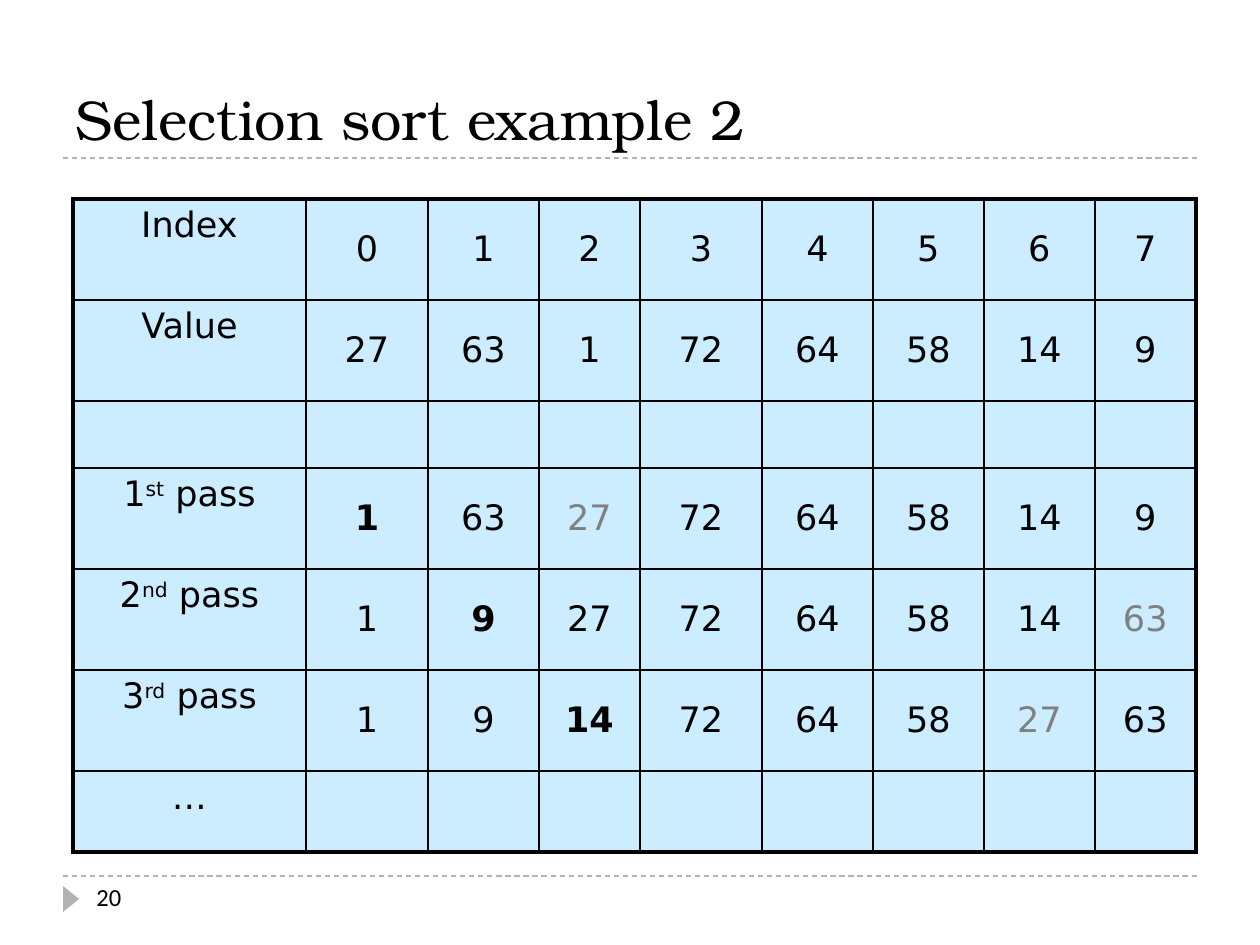
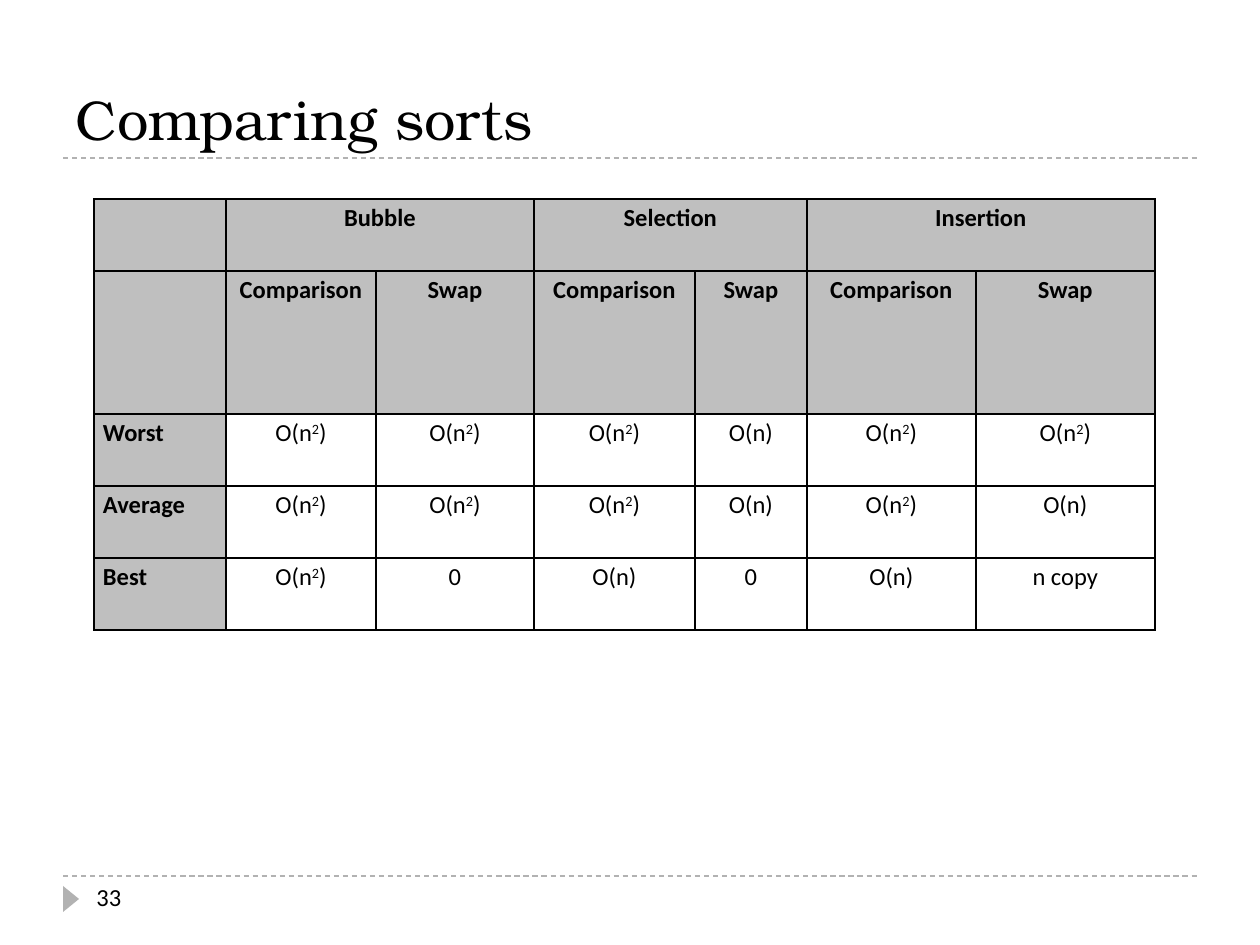
from lxml import etree
from pptx import Presentation
from pptx.dml.color import RGBColor
from pptx.enum.dml import MSO_LINE
from pptx.enum.shapes import MSO_CONNECTOR, MSO_SHAPE
from pptx.enum.text import MSO_ANCHOR as ANCHOR, MSO_AUTO_SIZE, PP_ALIGN as ALIGN
from pptx.oxml.ns import qn
from pptx.util import Emu, Pt

PX_PER_INCH = 126
BLACK = RGBColor(0, 0, 0)
GREY = RGBColor(0x80, 0x80, 0x80)
RULE_GREY = RGBColor(0xB2, 0xB2, 0xB2)
HEADER_GREY = RGBColor(0xBF, 0xBF, 0xBF)
PALE_BLUE = RGBColor(0xCC, 0xEC, 0xFF)
TITLE_FONT, BODY_FONT, NUMBER_FONT = "TeX Gyre Bonum", "Calibri", "DejaVu Sans"
THIN, THICK = 1, 2.25

# Cell marks: ^...^ is superscript, a leading * is bold, a leading ~ is grey.
SORT_ROWS = [
    ["Index", "0", "1", "2", "3", "4", "5", "6", "7"],
    ["Value", "27", "63", "1", "72", "64", "58", "14", "9"],
    [""] * 9,
    ["1^st^ pass", "*1", "63", "~27", "72", "64", "58", "14", "9"],
    ["2^nd^ pass", "1", "*9", "27", "72", "64", "58", "14", "~63"],
    ["3^rd^ pass", "1", "9", "*14", "72", "64", "58", "~27", "63"],
    ["…"] + [""] * 8,
]
SORT_COLS = [233, 122, 111, 101, 122, 111, 111, 111, 101]
SORT_HEIGHTS = [101, 101, 67, 101, 101, 101, 81]

SQUARE = "O(n^2^)"
COST_ROWS = [
    ["", "*Bubble", "", "*Selection", "", "*Insertion", ""],
    [""] + ["*Comparison", "*Swap"] * 3,
    ["*Worst", SQUARE, SQUARE, SQUARE, "O(n)", SQUARE, SQUARE],
    ["*Average", SQUARE, SQUARE, SQUARE, "O(n)", SQUARE, "O(n)"],
    ["*Best", SQUARE, "0", "O(n)", "0", "O(n)", "n copy"],
]
COST_COLS = [132, 150, 158, 161, 112, 169, 179]
COST_HEIGHTS = [72, 143, 72, 72, 72]


def px(n):
    return Emu(round(n * 914400 / PX_PER_INCH))


def format_font(font, name, size, color=BLACK, bold=False):
    font.name, font.size, font.bold = name, Pt(size), bold
    font.color.rgb = color


def add_rule(slide, y):
    line = slide.shapes.add_connector(
        MSO_CONNECTOR.STRAIGHT, px(63), px(y), px(1197), px(y))
    line.line.color.rgb = RULE_GREY
    line.line.width = Pt(0.75)
    line.line.dash_style = MSO_LINE.DASH
    etree.SubElement(line._element.spPr, qn("a:effectLst"))


def add_page_marker(slide, number):
    sp = slide.shapes.add_shape(
        MSO_SHAPE.ISOSCELES_TRIANGLE, px(58), px(891), px(26), px(16))
    sp.rotation = 90
    sp.shadow.inherit = False
    sp.fill.solid()
    sp.fill.fore_color.rgb = RULE_GREY
    sp.line.fill.background()

    tf = slide.shapes.add_textbox(px(84), px(876), px(273), px(50)).text_frame
    tf.word_wrap = True
    tf.text = str(number)
    format_font(tf.paragraphs[0].runs[0].font, BODY_FONT, 14)


def add_slide(prs, title, number):
    """Add a slide with the shared title, rules and page marker."""
    slide = prs.slides.add_slide(prs.slide_layouts[5])
    sp = slide.shapes.title
    sp.left, sp.top, sp.width, sp.height = px(63), px(32), px(1134), px(126)
    tf = sp.text_frame
    tf.text = title
    tf.auto_size = MSO_AUTO_SIZE.NONE
    tf.vertical_anchor = ANCHOR.BOTTOM
    p = tf.paragraphs[0]
    p.alignment = ALIGN.LEFT
    format_font(p.runs[0].font, TITLE_FONT, 32)
    for y in (158, 876):
        add_rule(slide, y)
    add_page_marker(slide, number)
    return slide


def write_cell(cell, marked, font_name, size):
    """Write a cell's text, turning its marks into run formatting."""
    text = marked.lstrip("*~")
    color = GREY if marked.startswith("~") else BLACK
    p = cell.text_frame.paragraphs[0]
    p.alignment = ALIGN.CENTER
    for i, piece in enumerate(text.split("^")):
        if not piece:
            continue
        r = p.add_run()
        r.text = piece
        format_font(r.font, font_name, size, color, marked.startswith("*"))
        if i % 2:
            r._r.get_or_add_rPr().set("baseline", "30000")


def set_borders(cell, left, right, top, bottom):
    tcPr = cell._tc.get_or_add_tcPr()
    for side, width in zip("LRTB", (left, right, top, bottom)):
        ln = etree.SubElement(tcPr, qn(f"a:ln{side}"), w=str(Pt(width)))
        fill = etree.SubElement(ln, qn("a:solidFill"))
        etree.SubElement(fill, qn("a:srgbClr"), val=str(BLACK))


def add_grid(slide, left, top, rows, widths, heights, font_name, size, outline):
    """Add a table with thin inner borders and an outline of the given width."""
    frame = slide.shapes.add_table(len(rows), len(widths), px(left), px(top),
                                   px(sum(widths)), px(sum(heights)))
    table = frame.table
    table.first_row = table.horz_banding = False
    for column, width in zip(table.columns, widths):
        column.width = px(width)
    for row, height in zip(table.rows, heights):
        row.height = px(height)
    last_row, last_col = len(rows) - 1, len(widths) - 1
    for i, texts in enumerate(rows):
        for j, text in enumerate(texts):
            cell = table.cell(i, j)
            write_cell(cell, text, font_name, size)
            edges = (j == 0, j == last_col, i == 0, i == last_row)
            set_borders(cell, *(outline if edge else THIN for edge in edges))
    return table


def fill_cell(cell, color):
    cell.fill.solid()
    cell.fill.fore_color.rgb = color


def build_selection_sort(prs):
    slide = add_slide(prs, "Selection sort example 2", 20)
    table = add_grid(slide, 73, 199, SORT_ROWS, SORT_COLS, SORT_HEIGHTS,
                     NUMBER_FONT, 20, THICK)
    for row in table.rows:
        for j, cell in enumerate(row.cells):
            fill_cell(cell, PALE_BLUE)
            if j:
                cell.vertical_anchor = ANCHOR.MIDDLE


def build_comparison(prs):
    slide = add_slide(prs, "Comparing sorts", 33)
    table = add_grid(slide, 94, 199, COST_ROWS, COST_COLS, COST_HEIGHTS,
                     BODY_FONT, 14, THIN)
    for i, row in enumerate(table.rows):
        for j, cell in enumerate(row.cells):
            cell.margin_left = cell.margin_right = px(9)
            cell.margin_top = cell.margin_bottom = 0
            p = cell.text_frame.paragraphs[0]
            p.line_spacing = 1.15
            if j == 0:
                p.alignment = ALIGN.LEFT
            if i < 2 or j == 0:
                fill_cell(cell, HEADER_GREY)
            else:
                cell.fill.background()
    for j in (1, 3, 5):
        table.cell(0, j).merge(table.cell(0, j + 1))


def main():
    prs = Presentation()
    prs.slide_width, prs.slide_height = px(1260), px(945)
    build_selection_sort(prs)
    build_comparison(prs)
    prs.save("out.pptx")


if __name__ == "__main__":
    main()
